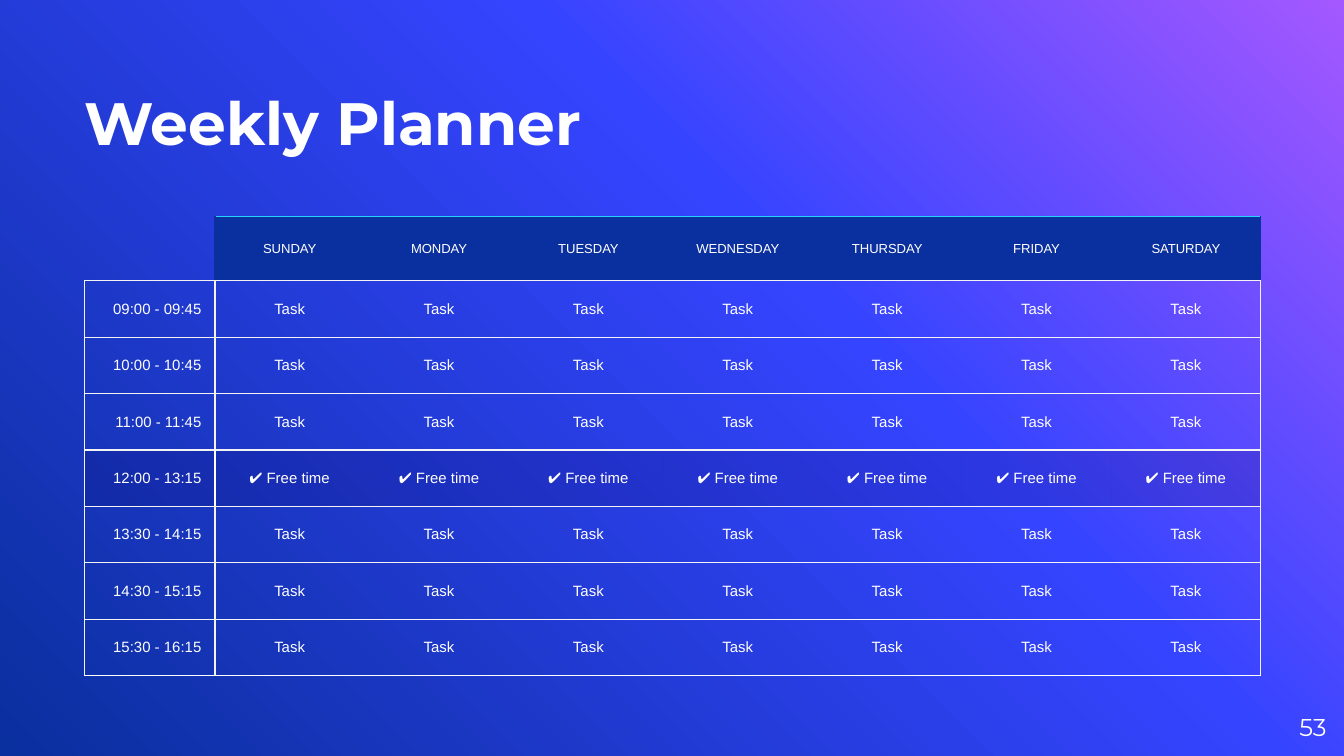
from copy import deepcopy

from lxml import etree
from pptx import Presentation
from pptx.dml.color import RGBColor
from pptx.enum.text import MSO_ANCHOR, PP_ALIGN
from pptx.oxml.ns import qn
from pptx.util import Inches, Pt

WHITE = RGBColor(0xFF, 0xFF, 0xFF)
PALE = RGBColor(0xF3, 0xF3, 0xF3)
NAVY = RGBColor(0x0A, 0x2F, 0x9E)
CYAN = RGBColor(0x24, 0xD6, 0xFF)
INDIGO = RGBColor(0x05, 0x00, 0x60)
BACKDROP = [(0, RGBColor(0xA4, 0x58, 0xFF)),
            (0.39, RGBColor(0x35, 0x44, 0xFF)),
            (1, NAVY)]

NO_GRID_STYLE = "{2D5ABB26-0587-4C30-8999-92F81FD0307C}"
DAYS = ["SUNDAY", "MONDAY", "TUESDAY", "WEDNESDAY",
        "THURSDAY", "FRIDAY", "SATURDAY"]
TIMES = ["09:00 - 09:45", "10:00 - 10:45", "11:00 - 11:45", "12:00 - 13:15",
         "13:30 - 14:15", "14:30 - 15:15", "15:30 - 16:15"]
BREAK = "12:00 - 13:15"


def paint_background(slide):
    fill = slide.background.fill
    fill.gradient()
    fill.gradient_angle = 225
    stop_list = slide.element.find(".//" + qn("a:gsLst"))
    stop_list.insert(1, deepcopy(stop_list[0]))
    for stop, (position, color) in zip(fill.gradient_stops, BACKDROP):
        stop.position = position
        stop.color.rgb = color


def write(frame, text, size, font, align, bold=False):
    paragraph = frame.paragraphs[0]
    paragraph.text = text
    paragraph.alignment = align
    paragraph.font.size = Pt(size)
    paragraph.font.name = font
    paragraph.font.bold = bold
    paragraph.font.color.rgb = WHITE


def add_label(slide, box, text, size, anchor, align, bold=False):
    frame = slide.shapes.add_textbox(*map(Inches, box)).text_frame
    frame.word_wrap = True
    frame.vertical_anchor = anchor
    frame.margin_left = frame.margin_right = 0
    frame.margin_top = frame.margin_bottom = 0
    write(frame, text, size, "Montserrat", align, bold)


def set_borders(cell, left=None, right=None, top=None, bottom=None):
    """Draw the given sides in their colours and hide the others."""
    properties = cell._tc.get_or_add_tcPr()
    sides = {"a:lnL": left, "a:lnR": right, "a:lnT": top, "a:lnB": bottom}
    for tag, color in sides.items():
        line = etree.SubElement(properties, qn(tag), w=str(Pt(0.75)))
        if color is None:
            etree.SubElement(line, qn("a:noFill"))
        else:
            solid = etree.SubElement(line, qn("a:solidFill"))
            etree.SubElement(solid, qn("a:srgbClr"), val=str(color))


def fill_cell(cell, color=None, opacity=100):
    if color is None:
        cell.fill.background()
        return
    cell.fill.solid()
    cell.fill.fore_color.rgb = color
    if opacity < 100:
        tint = cell._tc.tcPr.find(qn("a:solidFill")).find(qn("a:srgbClr"))
        etree.SubElement(tint, qn("a:alpha"), val=str(opacity * 1000))


def write_cell(cell, text, size, align=PP_ALIGN.CENTER):
    cell.vertical_anchor = MSO_ANCHOR.MIDDLE
    cell.margin_left = cell.margin_right = Inches(0.1)
    cell.margin_top = cell.margin_bottom = Inches(0.1)
    write(cell.text_frame, text, size, "Arial", align)


def fill_header(table):
    corner = table.cell(0, 0)
    set_borders(corner, right=NAVY, bottom=PALE)
    fill_cell(corner)
    for column, day in enumerate(DAYS, 1):
        cell = table.cell(0, column)
        write_cell(cell, day, 7)
        set_borders(cell, left=NAVY if column == 1 else None,
                    right=NAVY if column == len(DAYS) else None,
                    top=CYAN, bottom=PALE)
        fill_cell(cell, NAVY)


def fill_hour(table, row, time):
    is_break = time == BREAK
    entry = "✔ Free time" if is_break else "Task"
    bottom = WHITE if row == len(TIMES) else PALE
    divider = WHITE if is_break else PALE
    for column in range(len(DAYS) + 1):
        cell = table.cell(row, column)
        if column == 0:
            write_cell(cell, time, 8, PP_ALIGN.RIGHT)
            set_borders(cell, PALE, divider, PALE, bottom)
        else:
            write_cell(cell, entry, 8)
            set_borders(cell, left=divider if column == 1 else None,
                        right=PALE if column == len(DAYS) else None,
                        top=PALE, bottom=bottom)
        fill_cell(cell, INDIGO if is_break else None, 18)


def add_planner(slide, left, top, width, height):
    time_width, header_height = 0.97, 0.48
    table = slide.shapes.add_table(
        len(TIMES) + 1, len(DAYS) + 1,
        Inches(left), Inches(top), Inches(width), Inches(height)).table
    table.first_row = table.horz_banding = False
    table._tbl.tblPr.find(qn("a:tableStyleId")).text = NO_GRID_STYLE

    for index, column in enumerate(table.columns):
        column.width = Inches((width - time_width) / len(DAYS) if index else time_width)
    for index, row in enumerate(table.rows):
        row.height = Inches((height - header_height) / len(TIMES) if index else header_height)

    fill_header(table)
    for row, time in enumerate(TIMES, 1):
        fill_hour(table, row, time)


def main():
    deck = Presentation()
    deck.slide_width = Inches(10)
    deck.slide_height = deck.slide_width * 9 // 16
    slide = deck.slides.add_slide(deck.slide_layouts[6])
    paint_background(slide)
    add_label(slide, (0.63, 0.23, 6.58, 0.94), "Weekly Planner", 32,
              MSO_ANCHOR.BOTTOM, PP_ALIGN.LEFT, bold=True)
    add_label(slide, (9.27, 5.19, 0.6, 0.43), "53", 13,
              MSO_ANCHOR.MIDDLE, PP_ALIGN.RIGHT)
    add_planner(slide, 0.63, 1.61, 8.75, 3.42)
    deck.save("out.pptx")


if __name__ == "__main__":
    main()
